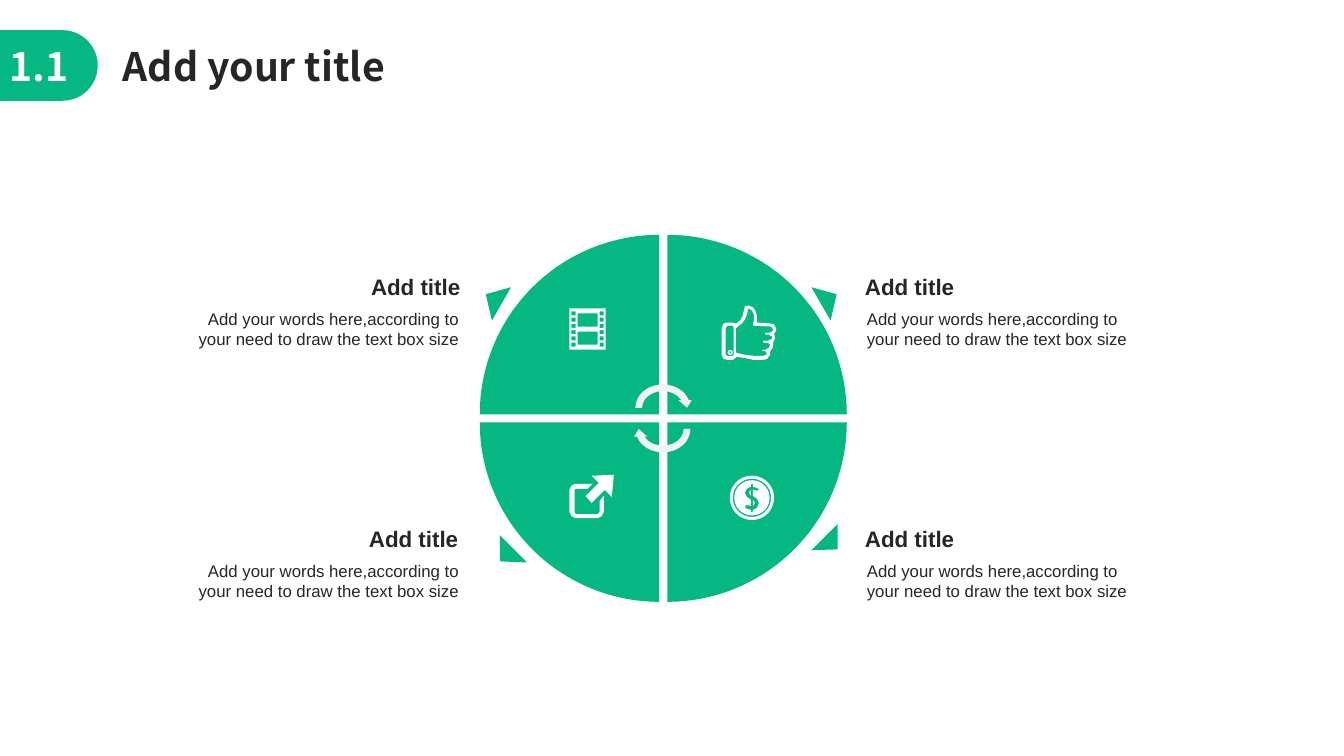
from math import cos, radians, sin

from pptx import Presentation
from pptx.dml.color import RGBColor
from pptx.enum.shapes import MSO_SHAPE
from pptx.enum.text import MSO_ANCHOR, MSO_AUTO_SIZE, PP_ALIGN
from pptx.util import Pt

LEFT, RIGHT = PP_ALIGN.LEFT, PP_ALIGN.RIGHT
TOP, MIDDLE = MSO_ANCHOR.TOP, MSO_ANCHOR.MIDDLE
CIRCULAR_ARROW = MSO_SHAPE.CIRCULAR_ARROW
NO_AUTOFIT = MSO_AUTO_SIZE.NONE

GREEN, DARK, WHITE, PALE = "05B780", "262626", "FFFFFF", "F2F2F2"
HEADING_FONT, TEXT_FONT = "Noto Sans CJK SC", "Arial"

NUMBER, TITLE = "1.1", "Add your title"
CAPTION = "Add title"
DETAIL = "Add your words here,according to your need to draw the text box size"
# caption left, detail left, top, detail alignment
CAPTIONS = [
    (265, 130.7, 195.1, RIGHT),
    (617.8, 619.2, 195.1, LEFT),
    (263.5, 130.7, 375.1, RIGHT),
    (617.8, 619.2, 375.1, LEFT),
]
POINTERS = [
    [(351.4, 229), (347, 210.2), (365, 205.2)],
    [(593.3, 229), (597.6, 210.2), (579.6, 205.2)],
    [(376.6, 401.8), (357.1, 401), (357.1, 382.3)],
    [(579.6, 393.1), (598.3, 392.4), (598.3, 374.4)],
]

HUB_X, HUB_Y, HALF_GAP, RADIUS = 473.76, 298.8, 2.88, 128.2
BADGE_X, BADGE_Y, BADGE_RADIUS = 44.64, 46.8, 25.2

# Icons are drawn on a grid with this cell size in points
ICON_CELL = 0.72
HAND = [
    (49, 18), (35, 17), (35, 11), (34, 6), (31, 2), (27, 0), (23, 1), (22, 5),
    (21, 10), (19, 14), (16, 17), (14, 18), (11, 17), (6, 17), (2, 18), (0, 22),
    (0, 49), (2, 53), (6, 54), (11, 54), (15, 51), (22, 52), (32, 54), (41, 54),
    (45, 53), (48, 49), (48, 46), (51, 41), (51, 37), (53, 32), (52, 28),
    (54, 25), (54, 23), (52, 19),
]
PALM = [
    (51, 24), (50, 26), (47, 27), (44, 27), (43, 28), (44, 29), (47, 29),
    (50, 31), (50, 33), (46, 35), (42, 35), (41, 36), (42, 37), (46, 37),
    (48, 39), (47, 42), (43, 44), (41, 44), (40, 45), (43, 45), (45, 48),
    (44, 49), (41, 50), (32, 50), (23, 49), (15, 47), (14, 46), (14, 23),
    (16, 21), (20, 18), (23, 14), (25, 9), (26, 4), (27, 3), (30, 5), (32, 9),
    (32, 14), (31, 20), (49, 21), (50, 22),
]
CUFF = [(12, 49), (11, 50), (6, 50), (4, 49), (4, 22), (6, 20), (11, 20), (12, 22)]
DOLLAR = [
    (23, 34), (23, 36), (21, 36), (21, 34), (15, 32), (16, 29), (21, 30),
    (21, 24), (17, 21), (15, 17), (17, 13), (21, 11), (21, 9), (22, 8), (23, 8),
    (23, 11), (29, 13), (28, 15), (23, 14), (23, 20), (27, 23), (29, 27), (27, 32),
]
DOLLAR_BOWLS = [[(23, 24), (23, 30), (25, 27)], [(19, 17), (21, 20), (21, 14)]]
FRAME = [
    (30, 37), (28, 39), (6, 39), (5, 37), (5, 15), (6, 14), (18, 14), (23, 9),
    (6, 9), (2, 11), (0, 15), (0, 37), (2, 41), (6, 43), (28, 43), (32, 41),
    (34, 37), (34, 21), (30, 26),
]
EXPORT_ARROW = [(22, 1), (29, 8), (16, 21), (22, 28), (35, 15), (42, 22), (44, 0)]


def color(hex_string):
    return RGBColor.from_string(hex_string)


def arc(center_x, center_y, radius, start=0, end=360, steps=36):
    """Return points along an arc, angles in degrees clockwise from the right."""
    angles = [radians(start + (end - start) * i / steps) for i in range(steps + 1)]
    return [(center_x + radius * cos(a), center_y + radius * sin(a)) for a in angles]


def box(left, top, width, height):
    right, bottom = left + width, top + height
    return [(left, top), (right, top), (right, bottom), (left, bottom)]


def paint(shape, fill):
    shape.fill.solid()
    shape.fill.fore_color.rgb = color(fill)
    shape.line.fill.background()
    shape.shadow.inherit = False


def add_outline(contours, fill, left=0, top=0, cell=1):
    """Draw closed contours as one shape; a contour inside another is a hole."""
    placed = [[(Pt(left + x * cell), Pt(top + y * cell)) for x, y in contour]
              for contour in contours]
    builder = slide.shapes.build_freeform(*placed[0][0])
    builder.add_line_segments(placed[0][1:], close=True)
    for contour in placed[1:]:
        builder.move_to(*contour[0])
        builder.add_line_segments(contour[1:], close=True)
    paint(builder.convert_to_shape(), fill)


def write(shape, area, text, font, size, fill, bold=False, align=LEFT,
          anchor=TOP, side_margin=0):
    shape.left, shape.top, shape.width, shape.height = map(Pt, area)
    frame = shape.text_frame
    frame.word_wrap = True
    frame.auto_size = NO_AUTOFIT
    frame.vertical_anchor = anchor
    frame.margin_left = frame.margin_right = Pt(side_margin)
    frame.margin_top = frame.margin_bottom = 0
    paragraph = frame.paragraphs[0]
    paragraph.alignment = align
    paragraph.line_spacing = 1.0
    run = paragraph.add_run()
    run.text = text
    run.font.name, run.font.size, run.font.bold = font, Pt(size), bold
    run.font.color.rgb = color(fill)


def add_text(area, *style, **options):
    write(slide.shapes.add_textbox(0, 0, 0, 0), area, *style, **options)


presentation = Presentation()
presentation.slide_width, presentation.slide_height = Pt(960), Pt(540)
slide = presentation.slides.add_slide(presentation.slide_layouts[5])

# Heading
badge = arc(BADGE_X, BADGE_Y, BADGE_RADIUS, -90, 90)
badge += [(0, BADGE_Y + BADGE_RADIUS), (0, BADGE_Y - BADGE_RADIUS)]
add_outline([badge], GREEN)
heading = dict(bold=True, anchor=MIDDLE, side_margin=7.2)
add_text((0, 26.6, 64, 41), NUMBER, HEADING_FONT, 28, WHITE, **heading)
write(slide.shapes.title, (80.6, 26.6, 232.6, 41), TITLE, HEADING_FONT, 28, DARK,
      **heading)

# Wheel
for start, side_x, side_y in [(180, -1, -1), (270, 1, -1), (0, 1, 1), (90, -1, 1)]:
    corner = (HUB_X + side_x * HALF_GAP, HUB_Y + side_y * HALF_GAP)
    add_outline([[corner] + arc(*corner, RADIUS, start, start + 90)], GREEN)
for top, rotation in [(272.2, 0), (287.3, 180)]:
    arrow = slide.shapes.add_shape(CIRCULAR_ARROW, Pt(451.5), Pt(top), Pt(44), Pt(38.2))
    arrow.rotation = rotation
    paint(arrow, PALE)
for pointer in POINTERS:
    add_outline([pointer], GREEN)

# Captions
for caption_left, detail_left, top, align in CAPTIONS:
    add_text((caption_left, top, 110, 19.4), CAPTION, TEXT_FONT, 16, DARK, bold=True)
    add_text((detail_left, top + 25.2, 197.3, 28.8), DETAIL, TEXT_FONT, 12, DARK,
             align=align)

# Icons
thumb = [HAND, PALM, CUFF, arc(8.5, 46.5, 2.5), arc(8.5, 46.5, 1)]
film = [box(0, 0, 36, 41), box(8, 5, 20, 13), box(8, 23, 20, 13)]
film += [box(x, 3 + 6.2 * row, 4, 4) for x in (2, 30) for row in range(6)]
coin = [arc(22, 22, radius) for radius in (22, 19, 17.5)] + [DOLLAR] + DOLLAR_BOWLS
for icon, left, top in [
    (thumb, 515.5, 218.2),
    (film, 406.8, 220.3),
    (coin, 521.3, 339.8),
    ([FRAME], 406.8, 339.1),
    ([EXPORT_ARROW], 406.8, 339.1),
]:
    add_outline(icon, WHITE, left, top, ICON_CELL)

presentation.save("out.pptx")
